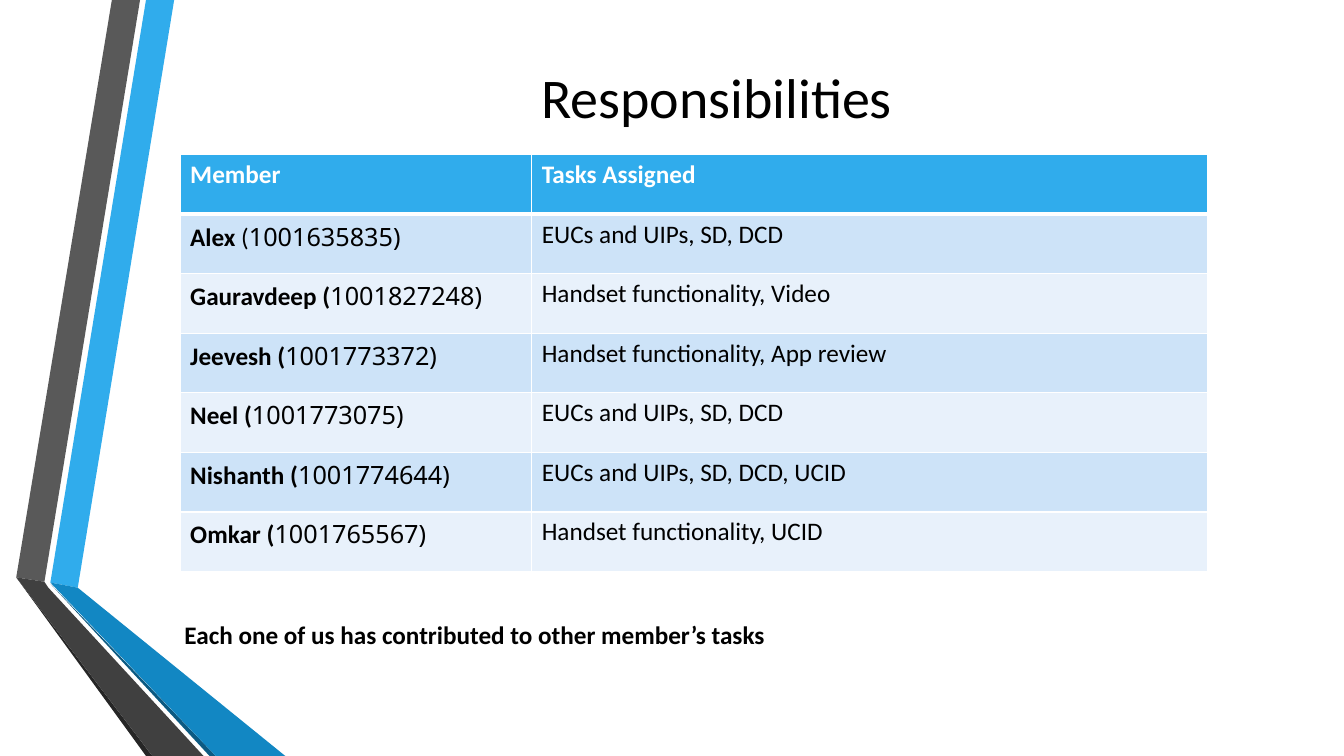
"""Build the Responsibilities slide with its folded ribbons and task table."""
from lxml.etree import SubElement
from pptx import Presentation
from pptx.dml.color import RGBColor
from pptx.enum.text import MSO_ANCHOR as Anchor, MSO_AUTO_SIZE as AutoSize, PP_ALIGN as Align
from pptx.oxml.ns import qn
from pptx.util import Cm, Pt

COLORS = {
    "text": "000000", "white": "FFFFFF", "header": "30ACEC",
    "odd_row": "CDE3F8", "even_row": "E8F1FB",
    "blue": "30ACEC", "blue_fold": "1287C3", "blue_edge": "0C5A82",
    "gray": "595959", "gray_fold": "404040", "gray_edge": "262626",
}
WIDTH, HEIGHT = 33.87, 19.05
BODY_FONT, NUMBER_FONT = "Calibri", "Noto Sans"

RIBBONS = [
    ("blue", [(1.27, 14.68), (1.96, 14.81), (4.39, 0), (3.68, 0)]),
    ("gray", [(3.53, 0), (2.82, 0), (0.41, 14.55), (1.12, 14.66)]),
    ("gray_edge", [(0.41, 14.55), (3.68, HEIGHT), (3.84, HEIGHT)]),
    ("blue_edge", [(1.27, 14.71), (5.28, HEIGHT), (5.44, HEIGHT)]),
    ("blue_fold", [(1.27, 14.68), (5.44, HEIGHT), (7.19, HEIGHT), (1.96, 14.81)]),
    ("gray_fold", [(0.41, 14.55), (3.84, HEIGHT), (5.13, HEIGHT), (1.22, 14.81), (1.12, 14.66)]),
]
MEMBERS = [
    ("Alex", " (", "1001635835)", "EUCs and UIPs, SD, DCD"),
    ("Gauravdeep (", "", "1001827248)", "Handset functionality, Video"),
    ("Jeevesh (", "", "1001773372)", "Handset functionality, App review"),
    ("Neel (", "", "1001773075)", "EUCs and UIPs, SD, DCD"),
    ("Nishanth (", "", "1001774644)", "EUCs and UIPs, SD, DCD, UCID"),
    ("Omkar (", "", "1001765567)", "Handset functionality, UCID"),
]


class SlideBuilder:
    """Hold the style and the current slide."""

    def __init__(self, page):
        self.page = page

    def color(self, name):
        return RGBColor.from_string(COLORS[name])

    def style(self, span, size=18, bold=False, color="text", font=BODY_FONT):
        span.font.name = font
        span.font.size = Pt(size)
        span.font.bold = bold
        span.font.color.rgb = self.color(color)

    def ribbon(self, color, points):
        corners = [(Cm(x), Cm(y)) for x, y in points]
        outline = self.page.shapes.build_freeform(*corners[0])
        outline.add_line_segments(corners[1:], close=True)
        shape = outline.convert_to_shape()
        shape.shadow.inherit = False
        shape.fill.solid()
        shape.fill.fore_color.rgb = self.color(color)
        shape.line.fill.background()

    def title(self, text, left, top, width, height):
        box = self.page.shapes.title
        box.left, box.top, box.width, box.height = map(Cm, (left, top, width, height))
        frame = box.text_frame
        frame.text = text
        frame.auto_size = AutoSize.NONE
        frame.vertical_anchor = Anchor.MIDDLE
        para = frame.paragraphs[0]
        para.alignment = Align.CENTER
        self.style(para.runs[0], size=40)

    def note(self, text, left, top, width, height):
        box = self.page.shapes.add_textbox(*map(Cm, (left, top, width, height)))
        frame = box.text_frame
        frame.word_wrap = True
        frame.text = text
        self.style(frame.paragraphs[0].runs[0], bold=True)

    def cell(self, cell, spans, fill, top=1, bottom=1):
        properties = cell._tc.get_or_add_tcPr()
        for side, points in zip("LRTB", (1, 1, top, bottom)):
            border = SubElement(properties, qn(f"a:ln{side}"), w=str(Pt(points)))
            solid = SubElement(border, qn("a:solidFill"))
            SubElement(solid, qn("a:srgbClr"), val=COLORS["white"])
        cell.fill.solid()
        cell.fill.fore_color.rgb = self.color(fill)
        para = cell.text_frame.paragraphs[0]
        for text, look in spans:
            if text:
                span = para.add_run()
                span.text = text
                self.style(span, **look)

    def table(self, headings, members, left, top, widths, row_height):
        count = len(members) + 1
        frame = self.page.shapes.add_table(
            count, len(widths), Cm(left), Cm(top), Cm(sum(widths)), Cm(row_height * count))
        table = frame.table
        for column, width in zip(table.columns, widths):
            column.width = Cm(width)
        for row in table.rows:
            row.height = Cm(row_height)
        for column, heading in enumerate(headings):
            self.cell(table.cell(0, column), [(heading, {"bold": True, "color": "white"})],
                      "header", bottom=3)
        for row, (name, bracket, number, tasks) in enumerate(members, start=1):
            fill = "odd_row" if row % 2 else "even_row"
            top_line = 3 if row == 1 else 1
            member = [(name, {"bold": True}), (bracket, {}), (number, {"font": NUMBER_FONT})]
            self.cell(table.cell(row, 0), member, fill, top=top_line)
            self.cell(table.cell(row, 1), [(tasks, {})], fill, top=top_line)


deck = Presentation()
deck.slide_width, deck.slide_height = Cm(WIDTH), Cm(HEIGHT)
builder = SlideBuilder(deck.slides.add_slide(deck.slide_layouts.get_by_name("Title Only")))
for ribbon_color, ribbon_points in RIBBONS:
    builder.ribbon(ribbon_color, ribbon_points)
builder.title("Responsibilities", 4.14, 0, 27.84, 4.85)
builder.note("Each one of us has contributed to other member’s tasks", 4.4, 15.48, 18.34, 1.03)
builder.table(("Member", "Tasks Assigned"), MEMBERS, 4.54, 3.9, (8.86, 17.04), 1.5)
deck.save("out.pptx")
